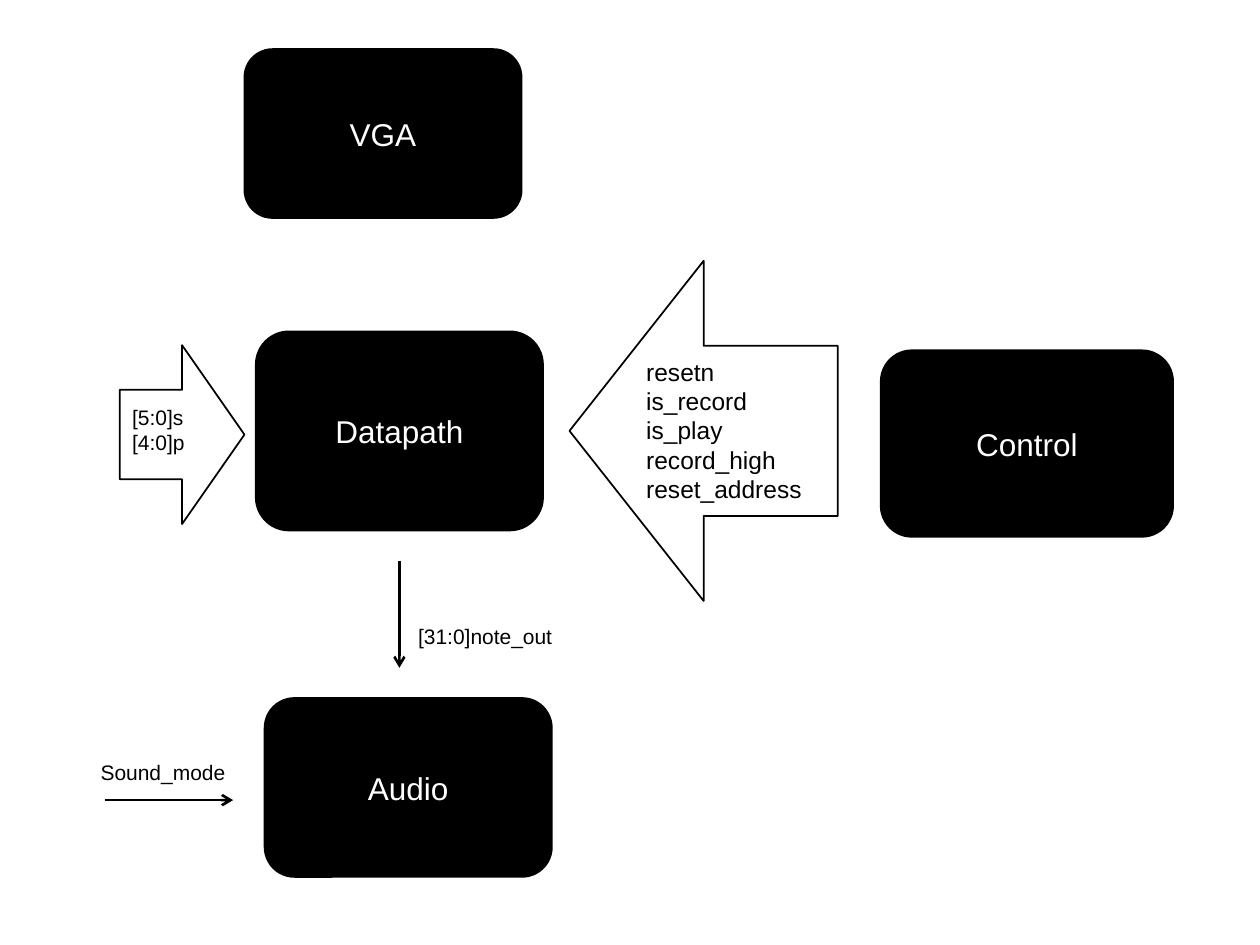
"""Block diagram of a datapath with its control, audio and VGA units."""
from lxml.etree import SubElement
from pptx import Presentation
from pptx.dml.color import RGBColor
from pptx.enum.shapes import MSO_CONNECTOR, MSO_SHAPE as SHAPE
from pptx.enum.text import MSO_ANCHOR, PP_ALIGN
from pptx.oxml.ns import qn
from pptx.util import Inches, Pt

BLACK = RGBColor(0, 0, 0)
WHITE = RGBColor(255, 255, 255)
FONT = "Arial"

# Positions and sizes are percentages of the slide's width and height.
BLOCKS = [
    ("Datapath", (20.3, 35.07, 22.8, 21.07)),
    ("Audio", (21, 73.87, 22.8, 18.93)),
    ("Control", (69.9, 37.07, 23.2, 19.73)),
    ("VGA", (19.4, 5.2, 22, 17.87)),
]
BUSES = [
    (SHAPE.LEFT_ARROW, (45.2, 27.6, 21.3, 36)),
    (SHAPE.RIGHT_ARROW, (9.5, 36.53, 9.9, 18.93)),
]
LABELS = [
    (["resetn", "is_record", "is_play", "record_high", "reset_address"],
     14, (50.3, 37.07, 17.2, 16.93)),
    (["[5:0]s", "[4:0]p"], 12, (9.5, 42.13, 6.8, 6.67)),
    (["[31:0]note_out"], 12, (32.2, 65.33, 13, 5.33)),
    (["Sound_mode"], 12, (7, 79.73, 13.3, 4)),
]
WIRES = [(31.7, 59.33, 31.7, 70.67), (8.3, 84.67, 18.5, 84.67)]

prs = Presentation()
prs.slide_width, prs.slide_height = Inches(10), Inches(7.5)
s = prs.slides.add_slide(prs.slide_layouts[6])


def place(shares):
    """Turn x, y, x, y percentages into slide lengths."""
    sides = (prs.slide_width, prs.slide_height) * 2
    return [round(side * share / 100) for side, share in zip(sides, shares)]


def write(sp, lines, size, color, align):
    """Fill a shape with one paragraph per line."""
    tf = sp.text_frame
    tf.word_wrap = True
    tf.text = "\n".join(lines)
    for p in tf.paragraphs:
        p.alignment = align
        font = p.runs[0].font
        font.name, font.size, font.color.rgb = FONT, Pt(size), color


def add_outlined(kind, shares):
    """Add an unfilled shape with a thin black outline."""
    sp = s.shapes.add_shape(kind, *place(shares))
    sp.shadow.inherit = False
    sp.fill.background()
    sp.line.color.rgb, sp.line.width = BLACK, Pt(1)
    return sp


for name, shares in BLOCKS:
    sp = add_outlined(SHAPE.ROUNDED_RECTANGLE, shares)
    sp.fill.solid()
    sp.fill.fore_color.rgb = BLACK
    sp.text_frame.vertical_anchor = MSO_ANCHOR.MIDDLE
    write(sp, [name], 18, WHITE, PP_ALIGN.CENTER)

for kind, shares in BUSES:
    add_outlined(kind, shares)

for lines, size, shares in LABELS:
    write(s.shapes.add_textbox(*place(shares)), lines, size, BLACK, PP_ALIGN.LEFT)

for ends in WIRES:
    wire = s.shapes.add_connector(MSO_CONNECTOR.STRAIGHT, *place(ends))
    wire.line.color.rgb, wire.line.width = BLACK, Pt(1.5)
    SubElement(wire.line._get_or_add_ln(), qn("a:tailEnd"), type="arrow")
    SubElement(wire._element.spPr, qn("a:effectLst"))

prs.save("out.pptx")
